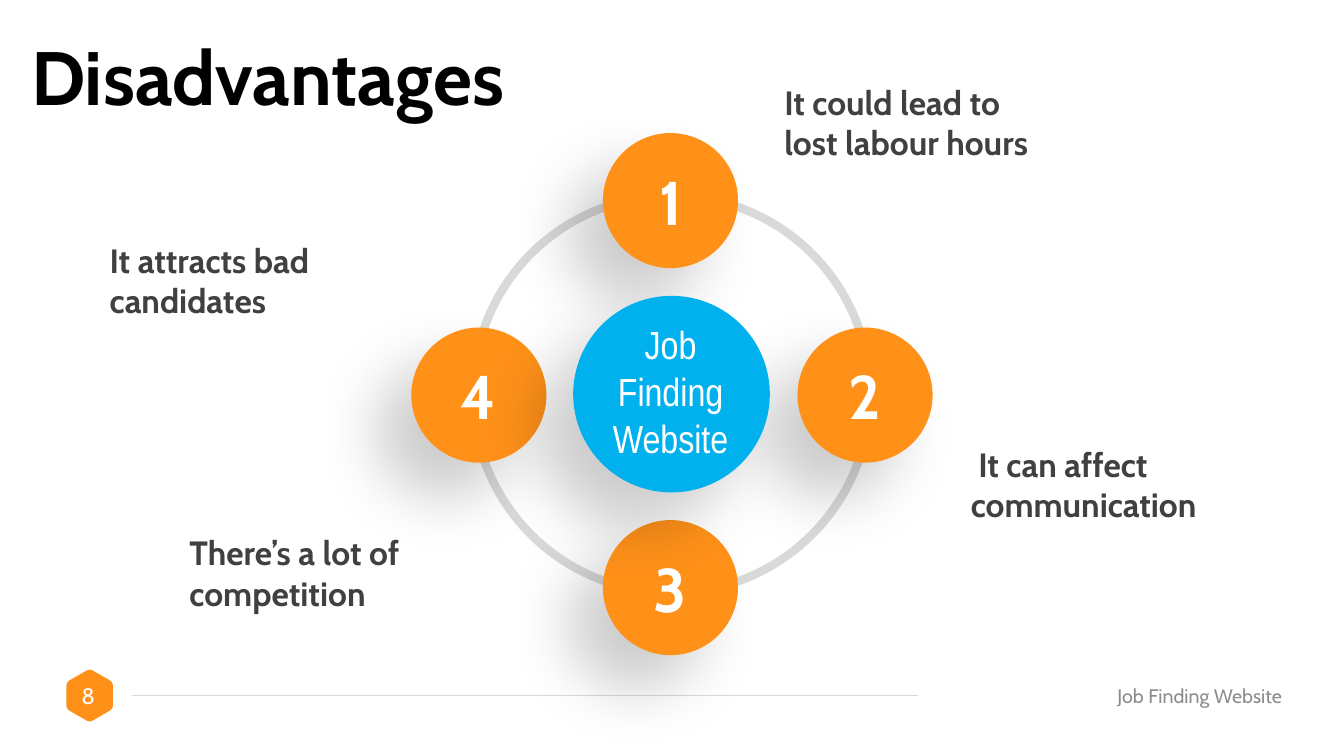
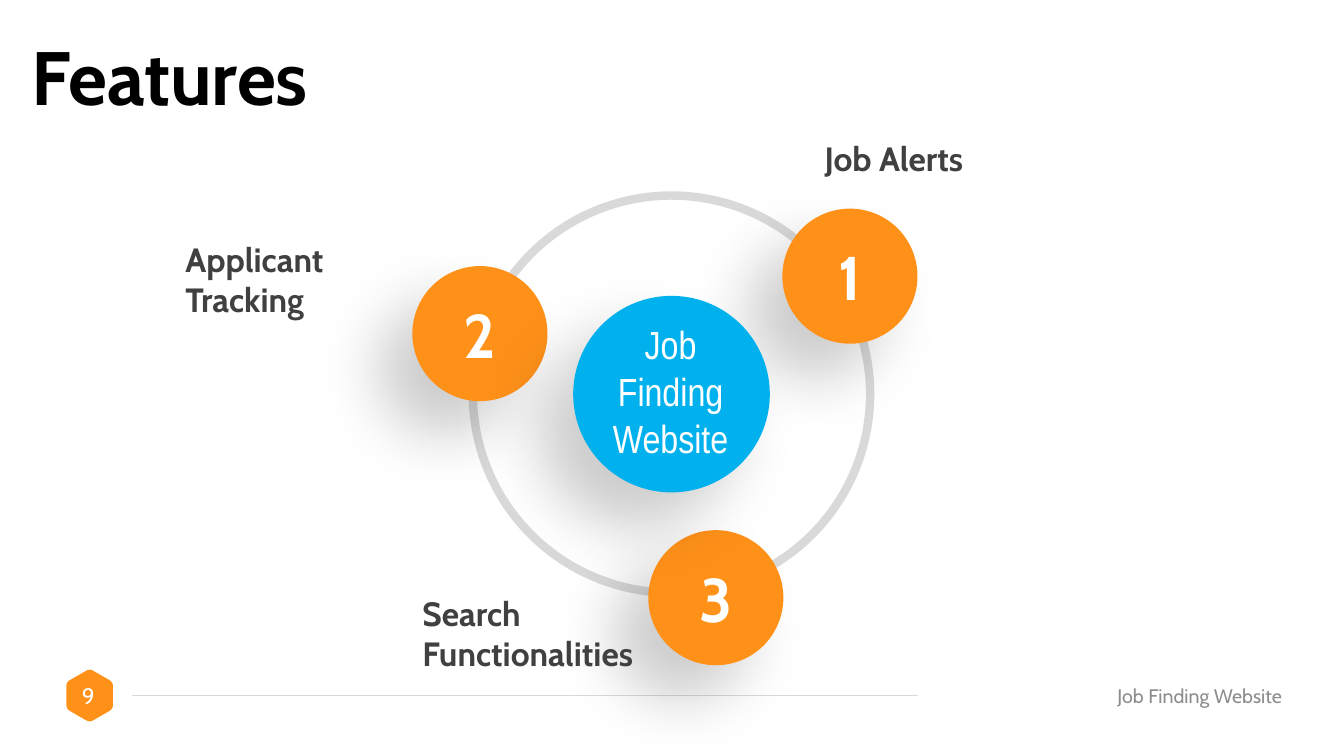
from math import cos, radians, sin

from lxml import etree
from pptx import Presentation
from pptx.dml.color import RGBColor
from pptx.enum.shapes import MSO_CONNECTOR, MSO_SHAPE
from pptx.enum.text import MSO_ANCHOR, PP_ALIGN
from pptx.oxml.ns import qn
from pptx.util import Inches, Pt

# Content: circles give (number, centre x, centre y); labels give (text, left, top, width)
TOPIC = "Job Finding Website"
SLIDES = [
    {
        "title": "Disadvantages",
        "number": 8,
        "circles": [("4", 4.75, 3.92), ("2", 8.58, 3.92), ("1", 6.65, 1.99), ("3", 6.65, 5.83)],
        "labels": [
            ("It could lead to\nlost labour hours", 7.68, 0.76, 3.08),
            (" It can affect communication", 9.53, 4.35, 2.85),
            ("There’s a lot of competition", 1.78, 5.23, 2.68),
            ("It attracts bad candidates", 0.99, 2.33, 2.57),
        ],
    },
    {
        "title": "Features",
        "number": 9,
        "circles": [("2", 4.76, 3.31), ("1", 8.43, 2.74), ("3", 7.1, 5.93)],
        "labels": [
            ("Job Alerts", 8.08, 1.32, 3.08),
            ("Search Functionalities", 4.09, 5.83, 2.68),
            ("Applicant Tracking", 1.74, 2.32, 2.57),
        ],
    },
]

# Shared style
ORANGE, BLUE, WHITE, BLACK = "FF9119", "01B1ED", "FFFFFF", "000000"
RING_GREY, LABEL_GREY, FOOTER_GREY = "D9D9D9", "404040", "8C8C8C"
FONT, HUB_FONT = "Cabin", "Arial Narrow"
HUB_X, HUB_Y = 6.66, 3.91
RING_SIZE, HUB_SIZE, CIRCLE_SIZE = 3.94, 1.95, 1.34
BADGE_X, FOOTER_Y = 0.89, 6.9


def color(value):
    return RGBColor.from_string(value)


def paint(shape, fill, line=None, width=0):
    shape.shadow.inherit = False
    shape.fill.solid()
    shape.fill.fore_color.rgb = color(fill)
    if line:
        shape.line.color.rgb = color(line)
        shape.line.width = Pt(width)
    else:
        shape.line.fill.background()


def write(frame, text, size, ink, bold=False, font=FONT, align=PP_ALIGN.LEFT):
    frame.word_wrap = True
    frame.text = text
    for para in frame.paragraphs:
        para.alignment = align
        para.font.name = font
        para.font.size = Pt(size)
        para.font.bold = bold
        para.font.color.rgb = color(ink)


def add_text(page, text, left, top, width, height, size, ink, **style):
    box = page.shapes.add_textbox(Inches(left), Inches(top), Inches(width), Inches(height))
    write(box.text_frame, text, size, ink, **style)
    return box.text_frame


def add_footer_text(page, text, left, width, size, ink, align):
    frame = add_text(page, text, left, FOOTER_Y - 0.2, width, 0.4, size, ink, align=align)
    frame.vertical_anchor = MSO_ANCHOR.MIDDLE
    frame.margin_left = frame.margin_right = 0
    frame.margin_top = frame.margin_bottom = Inches(0.07)


def add_circle(page, x, y, size, fill, **line):
    shape = page.shapes.add_shape(MSO_SHAPE.OVAL, Inches(x - size / 2), Inches(y - size / 2),
                                  Inches(size), Inches(size))
    paint(shape, fill, **line)
    return shape


def add_soft_shadow(shape):
    effects = shape.element.spPr.find(qn("a:effectLst"))
    shadow = etree.SubElement(effects, qn("a:outerShdw"), blurRad=str(Pt(45)), dist=str(Pt(35)),
                              dir=str(135 * 60000), algn="tr", rotWithShape="0")
    tint = etree.SubElement(shadow, qn("a:srgbClr"), val=BLACK)
    etree.SubElement(tint, qn("a:alpha"), val="20000")


def add_badge(page, radius=0.266, trim=0.15, steps=6):
    """Hexagon with each corner rounded by a quadratic curve."""
    corners = [(BADGE_X + radius * sin(radians(angle)), FOOTER_Y - radius * cos(radians(angle)))
               for angle in range(0, 360, 60)]
    points = []
    for i, corner in enumerate(corners):
        before, after = corners[i - 1], corners[(i + 1) % 6]
        for step in range(steps + 1):
            t = step / steps
            points.append(tuple(
                Inches(c + trim * ((1 - t) ** 2 * (b - c) + t ** 2 * (a - c)))
                for b, c, a in zip(before, corner, after)))
    builder = page.shapes.build_freeform(*points[0], scale=1.0)
    builder.add_line_segments(points[1:], close=True)
    paint(builder.convert_to_shape(), ORANGE)


def add_footer(page, number):
    add_badge(page)
    rule = page.shapes.add_connector(MSO_CONNECTOR.STRAIGHT, Inches(1.31), Inches(FOOTER_Y),
                                     Inches(9.1), Inches(FOOTER_Y))
    rule.line.color.rgb = color(RING_GREY)
    rule.line.width = Pt(0.75)
    etree.SubElement(rule.element.spPr, qn("a:effectLst"))
    add_footer_text(page, str(number), 0.67, 0.41, 16, WHITE, PP_ALIGN.CENTER)
    add_footer_text(page, TOPIC + " ", 10.62, 2.14, 14, FOOTER_GREY, PP_ALIGN.RIGHT)


def add_wheel(page, circles):
    add_circle(page, HUB_X, HUB_Y, RING_SIZE, WHITE, line=RING_GREY, width=6)
    for number, x, y in circles:
        circle = add_circle(page, x, y, CIRCLE_SIZE, ORANGE)
        add_soft_shadow(circle)
        write(circle.text_frame, number, 44, WHITE, bold=True, align=PP_ALIGN.CENTER)
        circle.text_frame.vertical_anchor = MSO_ANCHOR.MIDDLE
    add_soft_shadow(add_circle(page, HUB_X, HUB_Y, HUB_SIZE, BLUE))
    add_text(page, TOPIC, 5.79, 3.13, 1.72, 1.04, 28, WHITE, font=HUB_FONT,
             align=PP_ALIGN.CENTER)


def main():
    deck = Presentation()
    deck.slide_width, deck.slide_height = Inches(13.33), Inches(7.5)
    for content in SLIDES:
        page = deck.slides.add_slide(deck.slide_layouts[6])
        add_footer(page, content["number"])
        add_wheel(page, content["circles"])
        add_text(page, content["title"], 0.21, 0.25, 6.67, 1.01, 54, BLACK, bold=True)
        for text, left, top, width in content["labels"]:
            add_text(page, text, left, top, width, 0.91, 24, LABEL_GREY, bold=True)
    deck.save("out.pptx")


if __name__ == "__main__":
    main()
